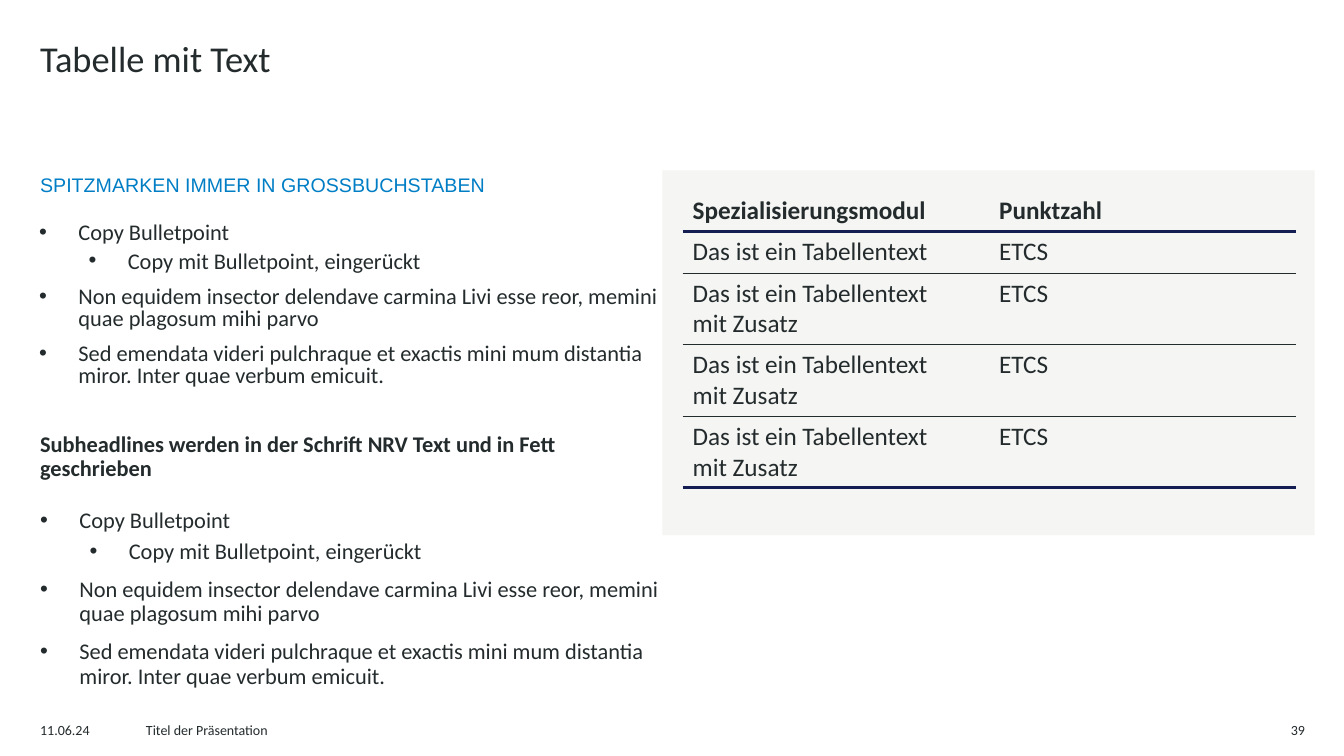
from dataclasses import dataclass

from lxml import etree
from pptx import Presentation
from pptx import util as u
from pptx.dml.color import RGBColor
from pptx.enum import shapes, text
from pptx.oxml.ns import qn

INK, BLUE, NAVY, PANEL = "242B2D", "007EC5", "151E53", "F5F5F3"
BULLET_INDENT = 0.39
SUB_MARGIN = 0.88


@dataclass
class Style:
    size: float
    font: str = "Calibri"
    color: str = INK
    bold: bool = False


@dataclass
class Item:
    words: str
    level: int = 0


@dataclass
class TextBlock:
    left: float
    top: float
    width: float
    height: float
    items: list[Item]
    style: Style
    spacing: float = 1.0
    bullets: bool = False
    align: text.PP_ALIGN = text.PP_ALIGN.LEFT
    inset_top: float = 0.05


@dataclass
class Rule:
    color: str
    width: float


def rgb(value: str) -> RGBColor:
    return RGBColor.from_string(value)


def style_runs(para, style: Style) -> None:
    for span in para.runs:
        span.font.name = style.font
        span.font.size = u.Pt(style.size)
        span.font.bold = style.bold
        span.font.color.rgb = rgb(style.color)


def add_bullet(para, level: int) -> None:
    margin = SUB_MARGIN if level else BULLET_INDENT
    properties = para._p.get_or_add_pPr()
    properties.set("marL", str(u.Inches(margin)))
    properties.set("indent", str(u.Inches(-BULLET_INDENT)))
    etree.SubElement(properties, qn("a:buFont"), typeface="Arial")
    etree.SubElement(properties, qn("a:buChar"), char="•")


def add_text(page, block: TextBlock) -> None:
    box = page.shapes.add_textbox(
        u.Inches(block.left), u.Inches(block.top),
        u.Inches(block.width), u.Inches(block.height))
    frame = box.text_frame
    frame.word_wrap = True
    frame.margin_top = u.Inches(block.inset_top)
    for index, item in enumerate(block.items):
        para = frame.add_paragraph() if index else frame.paragraphs[0]
        para.text = item.words
        para.level = item.level
        para.alignment = block.align
        para.line_spacing = block.spacing
        if index:
            para.space_before = u.Pt(5 if item.level else 10)
        if block.bullets:
            add_bullet(para, item.level)
        style_runs(para, block.style)


def set_borders(cell, top: Rule | None, bottom: Rule | None) -> None:
    properties = cell._tc.get_or_add_tcPr()
    for tag, rule in (("lnL", None), ("lnR", None), ("lnT", top), ("lnB", bottom)):
        line = etree.SubElement(properties, qn(f"a:{tag}"))
        if rule is None:
            etree.SubElement(line, qn("a:noFill"))
        else:
            line.set("w", str(u.Pt(rule.width)))
            fill = etree.SubElement(line, qn("a:solidFill"))
            etree.SubElement(fill, qn("a:srgbClr"), val=rule.color)


def add_module_table(page, rows: list[tuple[str, str]]) -> None:
    heights = [0.71 if "\n" in row[0] else 0.41 for row in rows]
    frame = page.shapes.add_table(
        len(rows), 2, u.Inches(6.77), u.Inches(1.89),
        u.Inches(6.08), u.Inches(sum(heights)))
    table = frame.table
    table.horz_banding = False
    thin, thick = Rule(INK, 0.5), Rule(NAVY, 2.25)
    rules = [None, thick] + [thin] * (len(rows) - 2) + [thick]
    for row_index, row in enumerate(rows):
        table.rows[row_index].height = u.Inches(heights[row_index])
        for column_index, words in enumerate(row):
            cell = table.cell(row_index, column_index)
            cell.text_frame.text = words
            for para in cell.text_frame.paragraphs:
                style_runs(para, Style(18, bold=row_index == 0))
            set_borders(cell, rules[row_index], rules[row_index + 1])
            cell.fill.background()


def add_panel(page) -> None:
    panel = page.shapes.add_shape(
        shapes.MSO_SHAPE.RECTANGLE,
        u.Inches(6.57), u.Inches(1.69), u.Inches(6.47), u.Inches(3.62))
    panel.shadow.inherit = False
    panel.fill.solid()
    panel.fill.fore_color.rgb = rgb(PANEL)
    panel.line.fill.background()


COPY = [
    Item("Copy Bulletpoint"),
    Item("Copy mit Bulletpoint, eingerückt", 1),
    Item("Non equidem insector delendave carmina Livi esse reor, "
         "memini quae plagosum mihi parvo"),
    Item("Sed emendata videri pulchraque et exactis mini mum distantia "
         "miror. Inter quae verbum emicuit."),
]
SUBHEADLINE = "Subheadlines werden in der Schrift NRV Text und in Fett geschrieben"
BODY, FOOTER = Style(16), Style(10)

BLOCKS = [
    TextBlock(0.3, 0.3, 12.2, 1.1, [Item("Tabelle mit Text")], Style(26), inset_top=0.06),
    TextBlock(0.29, 2.17, 6.37, 1.77, COPY, BODY, 0.8, bullets=True),
    TextBlock(0.3, 1.69, 6.37, 0.43, [Item("SPITZMARKEN IMMER IN GROSSBUCHSTABEN")],
              Style(14, "Arial", BLUE), 0.9),
    TextBlock(0.3, 5, 6.37, 2.1, COPY, BODY, 0.9, bullets=True),
    TextBlock(0.3, 4.25, 6.37, 0.67, [Item(SUBHEADLINE)], Style(16, bold=True), 0.9),
    TextBlock(0.3, 7.11, 0.98, 0.31, [Item("11.06.24")], FOOTER),
    TextBlock(1.35, 7.11, 10.63, 0.31, [Item("Titel der Präsentation")], FOOTER),
    TextBlock(12.25, 7.11, 0.79, 0.31, [Item("39")], FOOTER, align=text.PP_ALIGN.RIGHT),
]

MODULE = "Das ist ein Tabellentext"
MODULE_ROWS = [("Spezialisierungsmodul", "Punktzahl"), (MODULE, "ETCS")]
MODULE_ROWS += [(f"{MODULE}\nmit Zusatz", "ETCS")] * 3


def main() -> None:
    deck = Presentation()
    deck.slide_width, deck.slide_height = u.Inches(13.33), u.Inches(7.5)
    page = deck.slides.add_slide(deck.slide_layouts[6])
    for block in BLOCKS:
        add_text(page, block)
    add_panel(page)
    add_module_table(page, MODULE_ROWS)
    deck.save("out.pptx")


if __name__ == "__main__":
    main()
